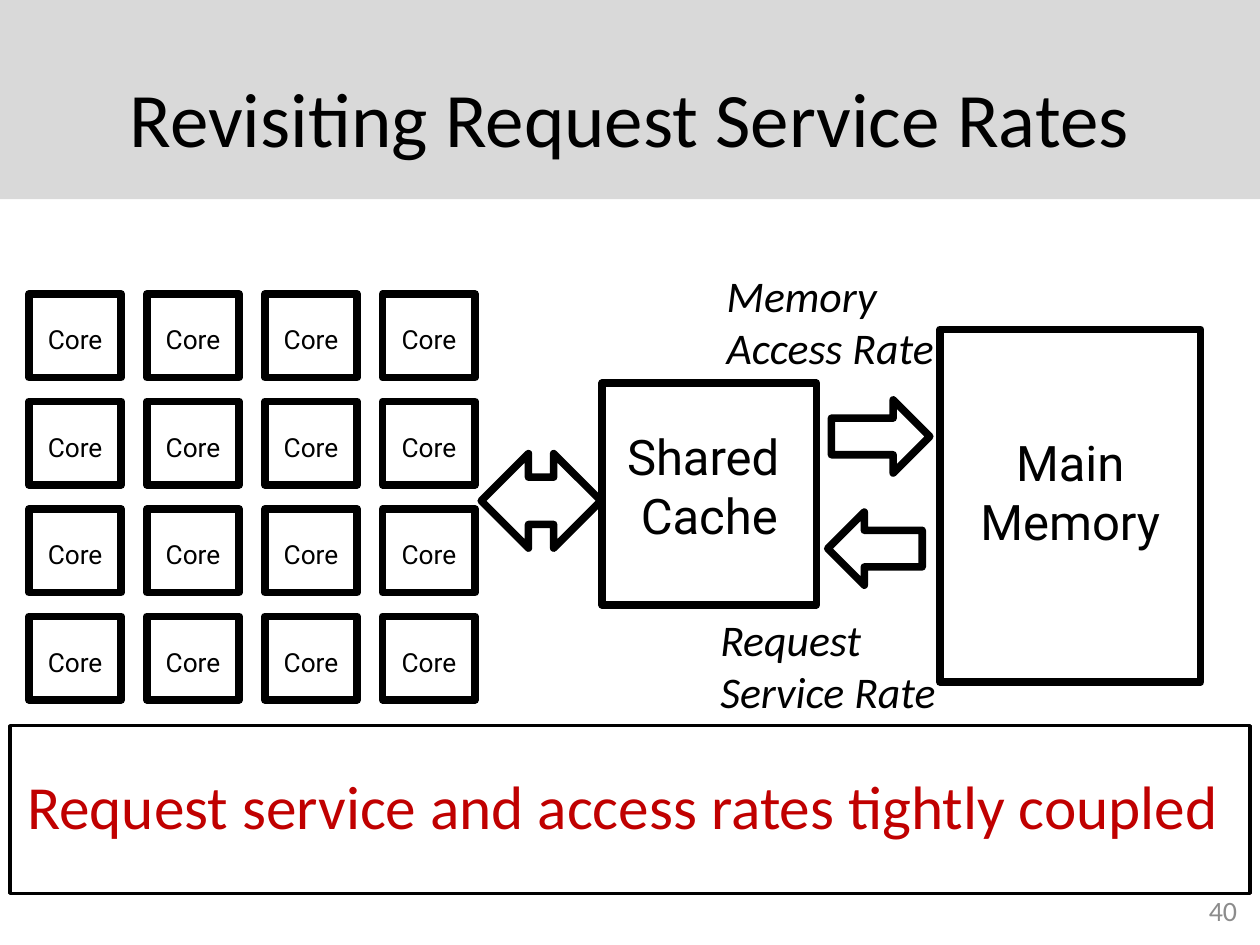
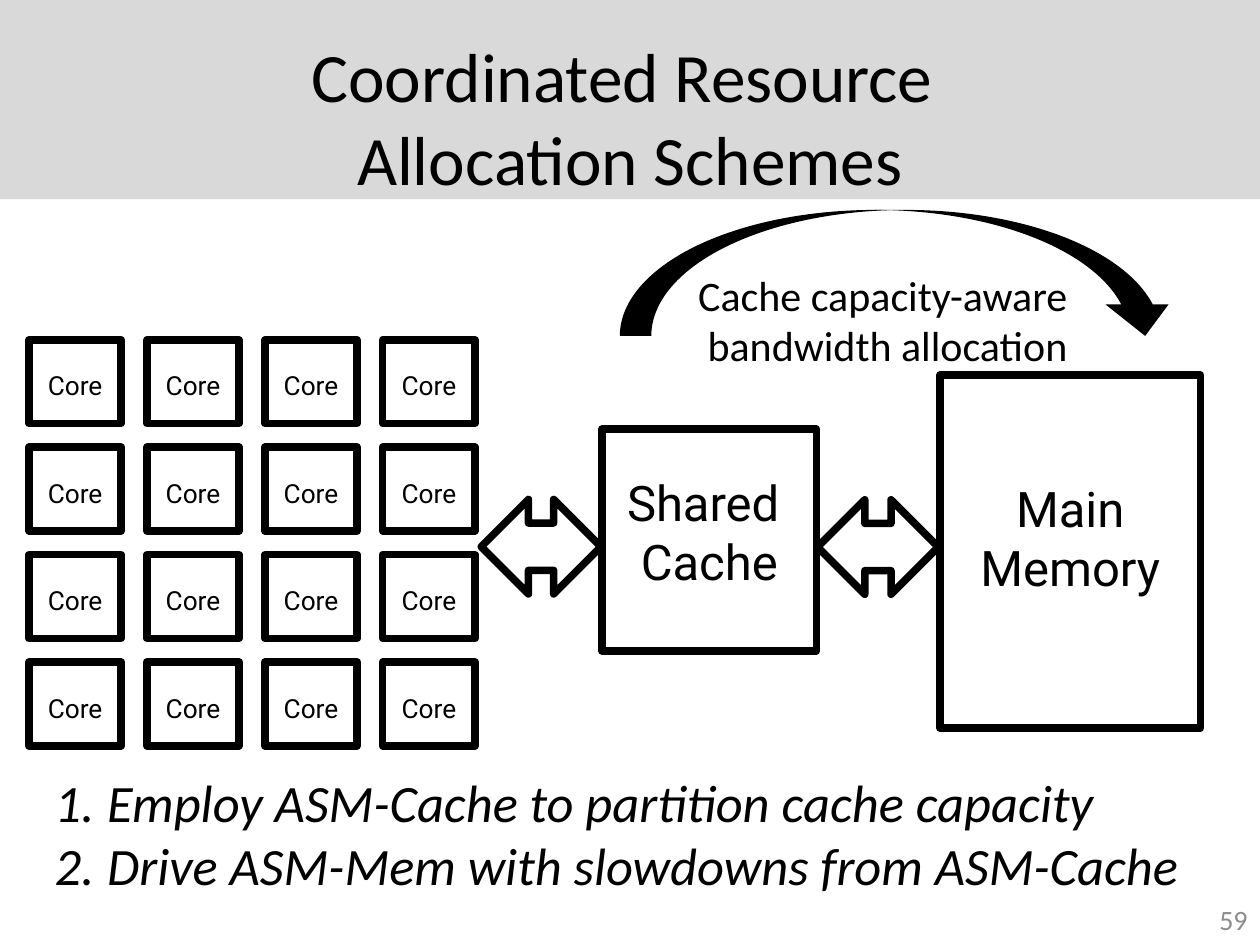
from lxml import etree
from pptx import Presentation
from pptx.dml.color import RGBColor
from pptx.enum.shapes import MSO_SHAPE
from pptx.enum.text import MSO_ANCHOR, MSO_AUTO_SIZE, PP_ALIGN
from pptx.oxml.ns import qn
from pptx.util import Pt

RECT = MSO_SHAPE.RECTANGLE
BOTH = MSO_SHAPE.LEFT_RIGHT_ARROW
RIGHT = MSO_SHAPE.RIGHT_ARROW
LEFT = MSO_SHAPE.LEFT_ARROW
CURVE = MSO_SHAPE.CURVED_DOWN_ARROW
TOP, MID = MSO_ANCHOR.TOP, MSO_ANCHOR.MIDDLE
START, CENTER, END = PP_ALIGN.LEFT, PP_ALIGN.CENTER, PP_ALIGN.RIGHT
FIXED = MSO_AUTO_SIZE.NONE

COLORS = {"ink": "000000", "band": "D9D9D9", "paper": "FFFFFF",
          "page": "8C8C8C", "alert": "C00000"}
TEXT, LABEL = "Calibri", "Roboto"
WIDE, HIGH = 720, 540
STROKE = 4.32
GRID = 4


def color(name):
    """Return a named colour."""
    return RGBColor.from_string(COLORS[name])


def place(shape, box):
    """Move a shape to a box of left, top, width and height."""
    shape.left, shape.top, shape.width, shape.height = map(Pt, box)


def shift(box, left, top, width, height):
    """Return a box placed relative to the corner of another."""
    return box[0] + left, box[1] + top, width, height


def write(shape, text, size, ink="ink", face=TEXT, align=CENTER,
          anchor=TOP, italic=False):
    """Fill a shape with text in one style."""
    frame = shape.text_frame
    frame.text = text
    frame.word_wrap = True
    frame.auto_size = FIXED
    frame.vertical_anchor = anchor
    for para in frame.paragraphs:
        para.alignment = align
        for run in para.runs:
            font = run.font
            font.size, font.name, font.italic = Pt(size), face, italic
            font.color.rgb = color(ink)


def draw(slide, kind, box, fill=None, stroke=STROKE):
    """Add a flat preset shape."""
    shape = slide.shapes.add_shape(kind, *map(Pt, box))
    shape.shadow.inherit = False
    if fill:
        shape.fill.solid()
        shape.fill.fore_color.rgb = color(fill)
    else:
        shape.fill.background()
    if stroke:
        shape.line.color.rgb = color("ink")
        shape.line.width = Pt(stroke)
    else:
        shape.line.fill.background()
    return shape


def note(slide, box, text, size, **style):
    """Add a text box."""
    write(slide.shapes.add_textbox(*map(Pt, box)), text, size, **style)


def block(slide, box, text, size, inset):
    """Add an outlined hardware block with its label."""
    shape = draw(slide, RECT, box)
    write(shape, text, size, face=LABEL)
    shape.text_frame.margin_top = Pt(inset)


def system(slide, box):
    """Draw the cores, the shared cache and the main memory."""
    for row in range(GRID):
        for col in range(GRID):
            spot = shift(box, col * 67.4, row * 61.4, 52.8, 47.8)
            block(slide, spot, "Core", 15, 17)
    block(slide, shift(box, 520.6, 20.2, 149, 201.6), "Main Memory", 28, 59)
    block(slide, shift(box, 327.6, 51, 122.4, 126.7), "Shared \nCache", 28, 25)
    draw(slide, BOTH, shift(box, 258.5, 91.2, 68.4, 54))


def rates(slide, box):
    """Draw the access and service arrows with their labels."""
    draw(slide, RIGHT, shift(box, 458.6, 60.5, 56.2, 41.8))
    draw(slide, LEFT, shift(box, 456.5, 124.6, 54, 41.8))
    for left, top, text in ((391.7, -18, "Memory Access Rate"),
                            (388, 178.6, "Request Service Rate")):
        note(slide, shift(box, left, top, 156, 67.7), text, 25,
             align=START, italic=True)


def link(slide, box):
    """Draw the memory bus and the curved arrow above it."""
    draw(slide, BOTH, shift(box, 450.7, 91.4, 69, 54))
    draw(slide, CURVE, shift(box, 337.7, -74.2, 318.2, 72), "ink", None)
    note(slide, shift(box, 337.7, -43.9, 306, 65.5),
         "Cache capacity-aware \nbandwidth allocation", 24)


def banner(slide, box, text):
    """Add the framed conclusion."""
    shape = draw(slide, RECT, box, "paper", 2)
    write(shape, text, 35, ink="alert", anchor=MID)
    shape.text_frame.margin_bottom = Pt(8.6)


def steps(slide, box, lines):
    """Fill the body placeholder with a numbered list."""
    body = slide.placeholders[1]
    place(body, box)
    write(body, "\n".join(lines), 30, align=START, italic=True)
    for para in body.text_frame.paragraphs:
        para.space_before = Pt(0)
        props = para._p.get_or_add_pPr()
        props.set("marL", str(Pt(30)))
        props.set("indent", str(-Pt(30)))
        etree.SubElement(props, qn("a:buFont"), typeface=TEXT)
        etree.SubElement(props, qn("a:buAutoNum"), type="arabicPeriod")
        para.font.italic = True


def start(deck, layout, title, size, page, spot):
    """Add a slide with its title and page number."""
    slide = deck.slides.add_slide(deck.slide_layouts[layout])
    place(slide.shapes.title, (36, 21.6, 648, 90))
    write(slide.shapes.title, title, size, anchor=MID)
    note(slide, (*spot, 168, 29), page, 16, ink="page", align=END, anchor=MID)
    return slide


def coupled(deck):
    """Build the slide on request service rates."""
    slide = start(deck, 5, "Revisiting Request Service Rates", 44,
                  "40", (546, 505.5))
    box = (16.5, 168, 670, 232)
    system(slide, box)
    rates(slide, box)
    banner(slide, (5.8, 414.7, 708.5, 95.8),
           "Request service and access rates tightly coupled ")
    return slide


def schemes(deck):
    """Build the slide on coordinated allocation."""
    slide = start(deck, 1, "Coordinated Resource \vAllocation Schemes", 39.6,
                  "59", (552, 511))
    box = (16.5, 194.2, 670, 232)
    system(slide, box)
    link(slide, box)
    steps(slide, (24, 436.3, 672, 80),
          ["Employ ASM-Cache to partition cache capacity",
           "Drive ASM-Mem with slowdowns from ASM-Cache"])


def main():
    """Build and save the deck."""
    deck = Presentation()
    deck.slide_width, deck.slide_height = Pt(WIDE), Pt(HIGH)
    first = coupled(deck)
    band = draw(first, RECT, (0, 0, WIDE, 113.8), "band", None)
    deck.slide_master.shapes.element.insert(2, band.element)
    schemes(deck)
    deck.save("out.pptx")


if __name__ == "__main__":
    main()
